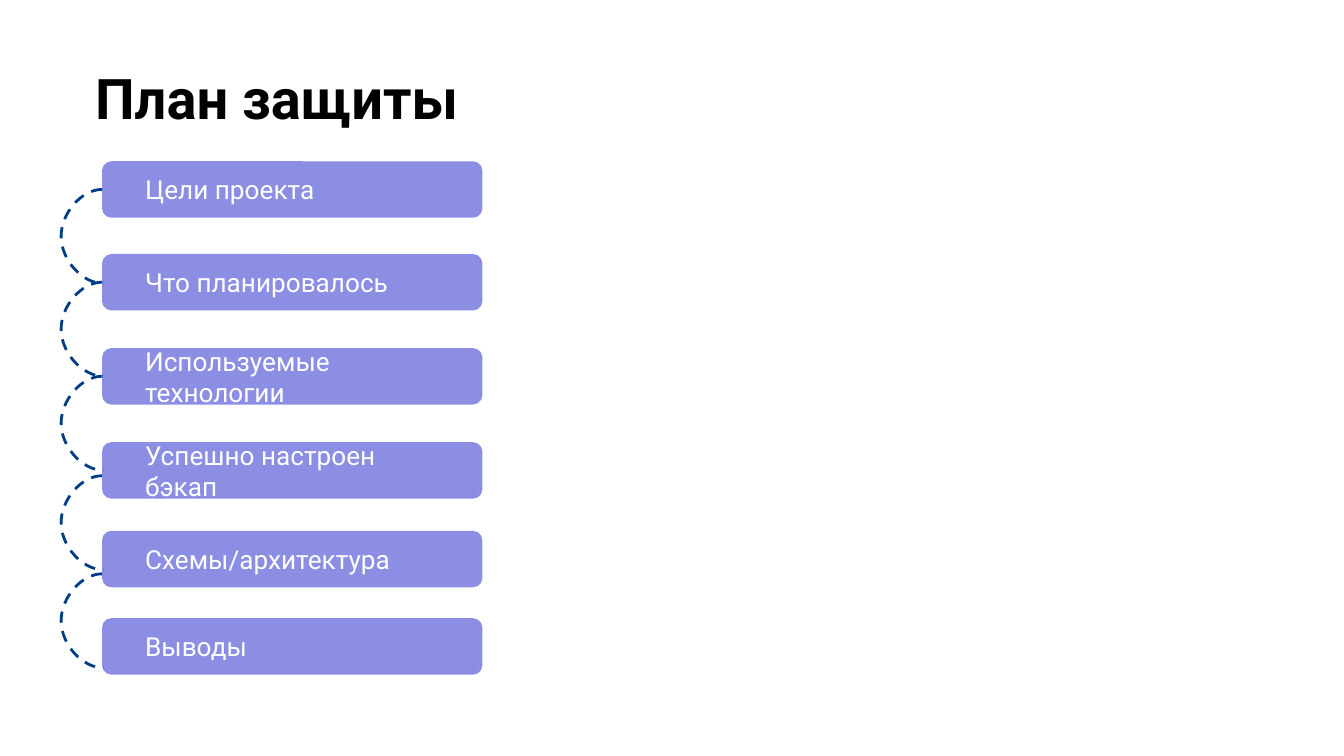
from lxml.etree import SubElement
from pptx import Presentation
from pptx.dml.color import RGBColor
from pptx.enum.dml import MSO_LINE
from pptx.enum.shapes import MSO_CONNECTOR, MSO_SHAPE
from pptx.enum.text import MSO_ANCHOR, PP_ALIGN
from pptx.oxml.ns import qn
from pptx.util import Inches, Pt

THEME = {
    "font": "Roboto",
    "title": RGBColor(0x00, 0x00, 0x00),
    "step_fill": RGBColor(0x8B, 0x8E, 0xE3),
    "step_text": RGBColor(0xFF, 0xFF, 0xFF),
    "link": RGBColor(0x01, 0x3D, 0x85),
    "title_size": Pt(30),
    "step_size": Pt(14),
    "link_width": Pt(1.5),
}

STEPS = [
    ("Цели проекта", 1.2),
    ("Что планировалось", 1.89),
    ("Используемые технологии", 2.59),
    ("Успешно настроен бэкап", 3.29),
    ("Схемы/архитектура", 3.95),
    ("Выводы", 4.6),
]
STEP_LEFT, STEP_WIDTH, STEP_HEIGHT = 0.76, 2.83, 0.42

LINK_TOPS = [1.41, 2.1, 2.8, 3.54, 4.27]
LINK_HEIGHT = 0.7
LINK_SPAN = 0.01
LINK_BULGE = 0.31


def write(shape, text, side_inset, anchor, font_values):
    frame = shape.text_frame
    frame_values = {
        "word_wrap": True,
        "vertical_anchor": anchor,
        "margin_left": Inches(side_inset),
        "margin_right": Inches(side_inset),
        "margin_top": Inches(0.1),
        "margin_bottom": Inches(0.1),
    }
    for name, value in frame_values.items():
        setattr(frame, name, value)
    para = frame.paragraphs[0]
    para.alignment = PP_ALIGN.LEFT
    span = para.add_run()
    span.text = text
    span.font.name = THEME["font"]
    span.font.color.rgb = font_values["color"]
    for name in ("size", "bold"):
        setattr(span.font, name, font_values[name])


deck = Presentation()
deck.slide_width = Inches(10)
deck.slide_height = Inches(10) * 9 // 16
page = deck.slides.add_slide(deck.slide_layouts[6])

title = page.shapes.add_textbox(Inches(0.61), Inches(0.37), Inches(7.13), Inches(0.63))
title_font = {"size": THEME["title_size"], "bold": True, "color": THEME["title"]}
write(title, "План защиты", 0.1, MSO_ANCHOR.TOP, title_font)

step_font = {"size": THEME["step_size"], "bold": False, "color": THEME["step_text"]}
for text, top in STEPS:
    step = page.shapes.add_shape(
        MSO_SHAPE.ROUNDED_RECTANGLE,
        Inches(STEP_LEFT), Inches(top), Inches(STEP_WIDTH), Inches(STEP_HEIGHT),
    )
    step.shadow.inherit = False
    step.fill.solid()
    step.fill.fore_color.rgb = THEME["step_fill"]
    step.line.fill.background()
    write(step, text, 0.3, MSO_ANCHOR.MIDDLE, step_font)

# The curve bulges left by a multiple of the connector's own small width.
bend = round(-LINK_BULGE / LINK_SPAN * 100000)
for top in LINK_TOPS:
    link = page.shapes.add_connector(
        MSO_CONNECTOR.CURVE,
        Inches(STEP_LEFT), Inches(top),
        Inches(STEP_LEFT + LINK_SPAN), Inches(top + LINK_HEIGHT),
    )
    link.line.color.rgb = THEME["link"]
    link.line.width = THEME["link_width"]
    link.line.dash_style = MSO_LINE.DASH
    properties = link._element.spPr
    guides = properties.find(qn("a:prstGeom")).find(qn("a:avLst"))
    SubElement(guides, qn("a:gd"), name="adj1", fmla=f"val {bend}")
    SubElement(properties, qn("a:effectLst"))

deck.save("out.pptx")
